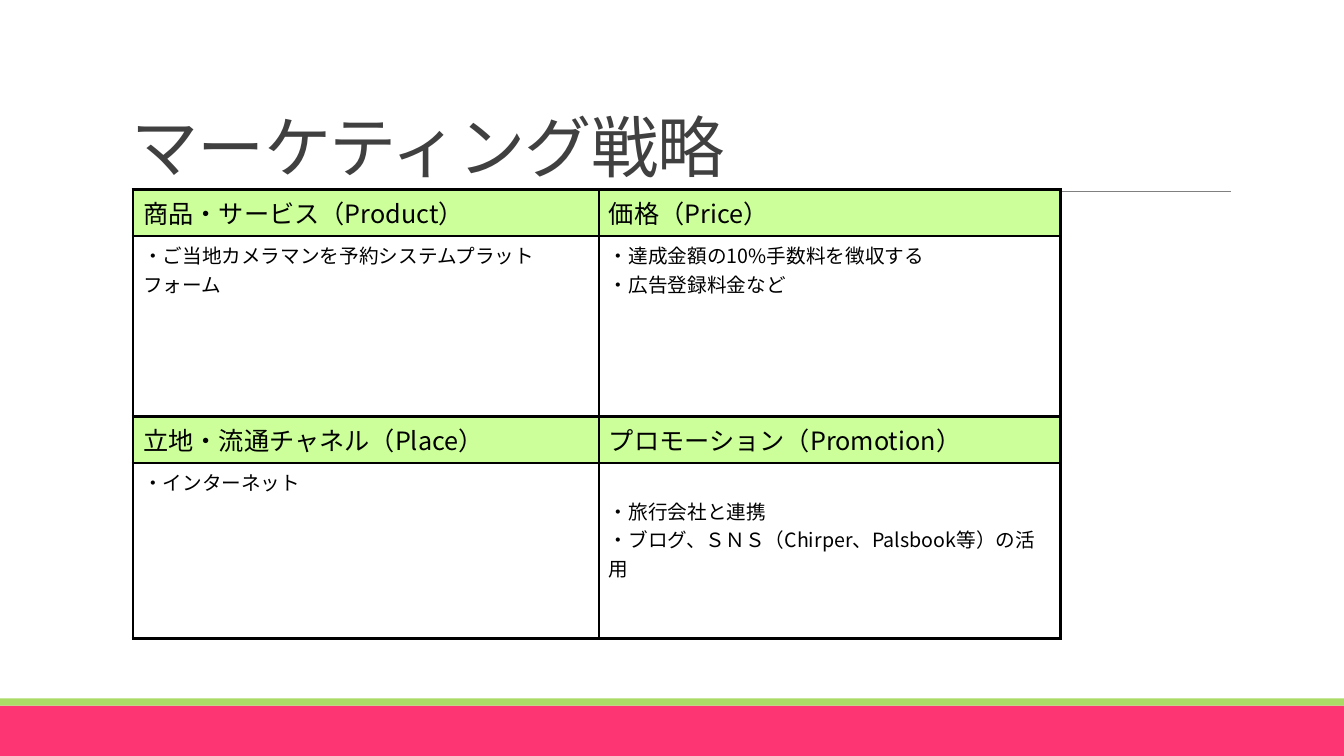
import dataclasses

import lxml.etree
import pptx
import pptx.dml.color
import pptx.enum.shapes
import pptx.enum.text
import pptx.oxml.ns
import pptx.util

Inches = pptx.util.Inches
Pt = pptx.util.Pt
qn = pptx.oxml.ns.qn


@dataclasses.dataclass(frozen=True)
class Theme:
    """Colours, fonts, type sizes and line widths of the slide."""
    pink: str = "FD3573"
    green: str = "A9DB66"
    rule: str = "808080"
    title: str = "404040"
    ink: str = "000000"
    heading_fill: str = "CCFF99"
    body_fill: str = "FFFFFF"
    latin: str = "Calibri"
    japanese: str = "Noto Sans CJK JP"
    title_size: float = 48
    heading_size: float = 18
    body_size: float = 14
    thick: float = 2.25
    thin: float = 1


THEME = Theme()

# Each quadrant: heading, paragraphs, top margin of the body cell
MARKETING_MIX = [
    [("商品・サービス（Product）",
      ["・ご当地カメラマンを予約システムプラットフォーム"], 0.05),
     ("価格（Price）",
      ["・達成金額の10%手数料を徴収する", "・広告登録料金など"], 0.05)],
    [("立地・流通チャネル（Place）", ["・インターネット"], 0.05),
     ("プロモーション（Promotion）",
      ["・旅行会社と連携", "・ブログ、ＳＮＳ（Chirper、Palsbook等）の活用"], 0.33)],
]


def rgb(colour):
    """Turn a hex string into a colour value."""
    return pptx.dml.color.RGBColor.from_string(colour)


def write(frame, paragraphs, size, colour=THEME.ink, font=THEME.japanese,
          line_spacing=None, tracking=None):
    """Fill a text frame with left-aligned paragraphs in one format."""
    for index, words in enumerate(paragraphs):
        paragraph = frame.paragraphs[0] if index == 0 else frame.add_paragraph()
        paragraph.alignment = pptx.enum.text.PP_ALIGN.LEFT
        paragraph.line_spacing = line_spacing
        run = paragraph.add_run()
        run.text = words
        run.font.size = Pt(size)
        run.font.name = font
        run.font.color.rgb = rgb(colour)
        properties = run._r.get_or_add_rPr()
        properties.set("lang", "ja-JP")
        if tracking is not None:
            properties.set("spc", str(round(tracking * 100)))
        east_asian = lxml.etree.Element(qn("a:ea"), typeface=THEME.japanese)
        properties.find(qn("a:latin")).addnext(east_asian)


def add_band(slide, left, top, width, height, colour):
    """Draw a plain coloured band."""
    band = slide.shapes.add_shape(
        pptx.enum.shapes.MSO_SHAPE.RECTANGLE,
        Inches(left), Inches(top), Inches(width), Inches(height))
    band.shadow.inherit = False
    band.fill.solid()
    band.fill.fore_color.rgb = rgb(colour)
    band.line.fill.background()


def add_footer(slide, left, top, width, height):
    """Draw the pink footer with its green strip on top."""
    strip = 0.07
    add_band(slide, left, top + strip, width, height - strip, THEME.pink)
    add_band(slide, left, top, width, strip, THEME.green)


def add_title_rule(slide, left, top, width):
    """Draw the thin rule under the title."""
    rule = slide.shapes.add_connector(
        pptx.enum.shapes.MSO_CONNECTOR.STRAIGHT,
        Inches(left), Inches(top), Inches(left + width), Inches(top))
    rule.line.color.rgb = rgb(THEME.rule)
    rule.line.width = Pt(0.5)
    lxml.etree.SubElement(rule._element.spPr, qn("a:effectLst"))


def add_title(slide, words, left, top, width, height):
    """Place and format the title placeholder."""
    title = slide.shapes.title
    title.left, title.top = Inches(left), Inches(top)
    title.width, title.height = Inches(width), Inches(height)
    frame = title.text_frame
    frame.word_wrap = True
    frame.auto_size = pptx.enum.text.MSO_AUTO_SIZE.NONE
    frame.vertical_anchor = pptx.enum.text.MSO_ANCHOR.BOTTOM
    write(frame, [words], THEME.title_size, colour=THEME.title,
          font=THEME.latin, line_spacing=0.85, tracking=-0.5)


def set_borders(cell, **widths):
    """Give a cell black borders; sides are named L, R, T and B."""
    properties = cell._tc.get_or_add_tcPr()
    for side in "LRTB":
        line = lxml.etree.SubElement(
            properties, qn("a:ln" + side), w=str(int(Pt(widths[side]))))
        fill = lxml.etree.SubElement(line, qn("a:solidFill"))
        lxml.etree.SubElement(fill, qn("a:srgbClr"), val=THEME.ink)


def fill_cell(cell, paragraphs, size, fill, top_line, bottom_line, margin_top=0.05):
    """Set borders, fill and text of one table cell."""
    set_borders(cell, L=THEME.thick, R=THEME.thick, T=top_line, B=bottom_line)
    cell.fill.solid()
    cell.fill.fore_color.rgb = rgb(fill)
    cell.margin_top = Inches(margin_top)
    write(cell.text_frame, paragraphs, size)


def add_marketing_mix(slide, quadrants, left, top, column_widths, row_heights):
    """Build the 4P table, a heading row above a body row for each pair."""
    table = slide.shapes.add_table(
        len(row_heights), len(column_widths), Inches(left), Inches(top),
        Inches(sum(column_widths)), Inches(sum(row_heights))).table
    table.first_row = table.horz_banding = False
    for column, width in zip(table.columns, column_widths):
        column.width = Inches(width)
    for row, height in zip(table.rows, row_heights):
        row.height = Inches(height)
    for pair, quadrant_row in enumerate(quadrants):
        for column, (heading, points, margin_top) in enumerate(quadrant_row):
            fill_cell(table.cell(2 * pair, column), [heading], THEME.heading_size,
                      THEME.heading_fill, THEME.thick, THEME.thin)
            fill_cell(table.cell(2 * pair + 1, column), points, THEME.body_size,
                      THEME.body_fill, THEME.thin, THEME.thick, margin_top)


def build_strategy_slide(deck):
    """Build the marketing strategy slide."""
    slide = deck.slides.add_slide(deck.slide_layouts[5])
    add_footer(slide, 0, 6.93, 13.33, 0.57)
    add_title_rule(slide, 1.31, 1.9, 10.9)
    add_title(slide, "マーケティング戦略", 1.2, 0.31, 11, 1.59)
    add_marketing_mix(slide, MARKETING_MIX, 1.32, 1.88,
                      [4.62, 4.58], [0.46, 1.79, 0.45, 1.74])


presentation = pptx.Presentation()
presentation.slide_width = Inches(13.33)
presentation.slide_height = Inches(7.5)
build_strategy_slide(presentation)
presentation.save("out.pptx")
